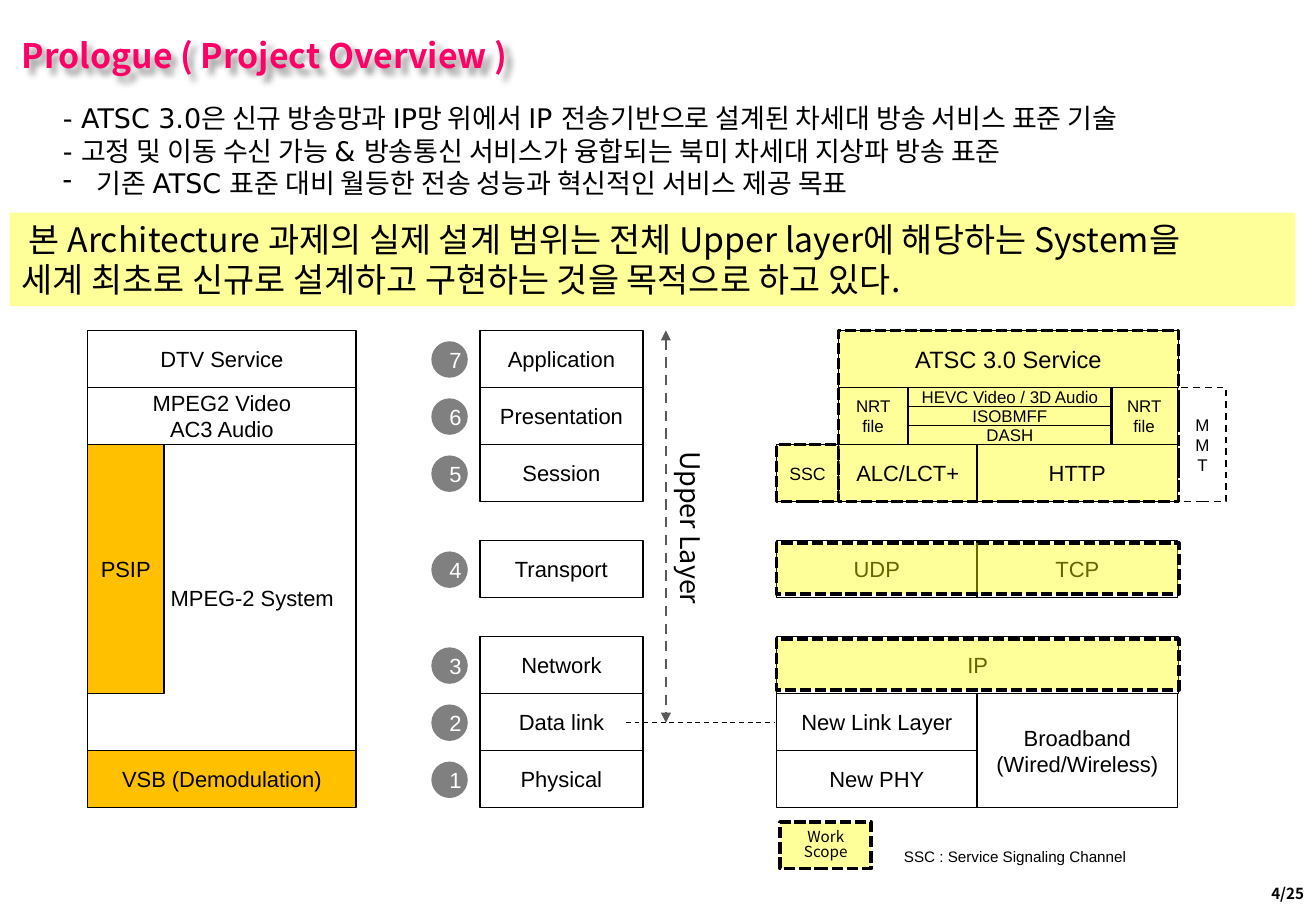
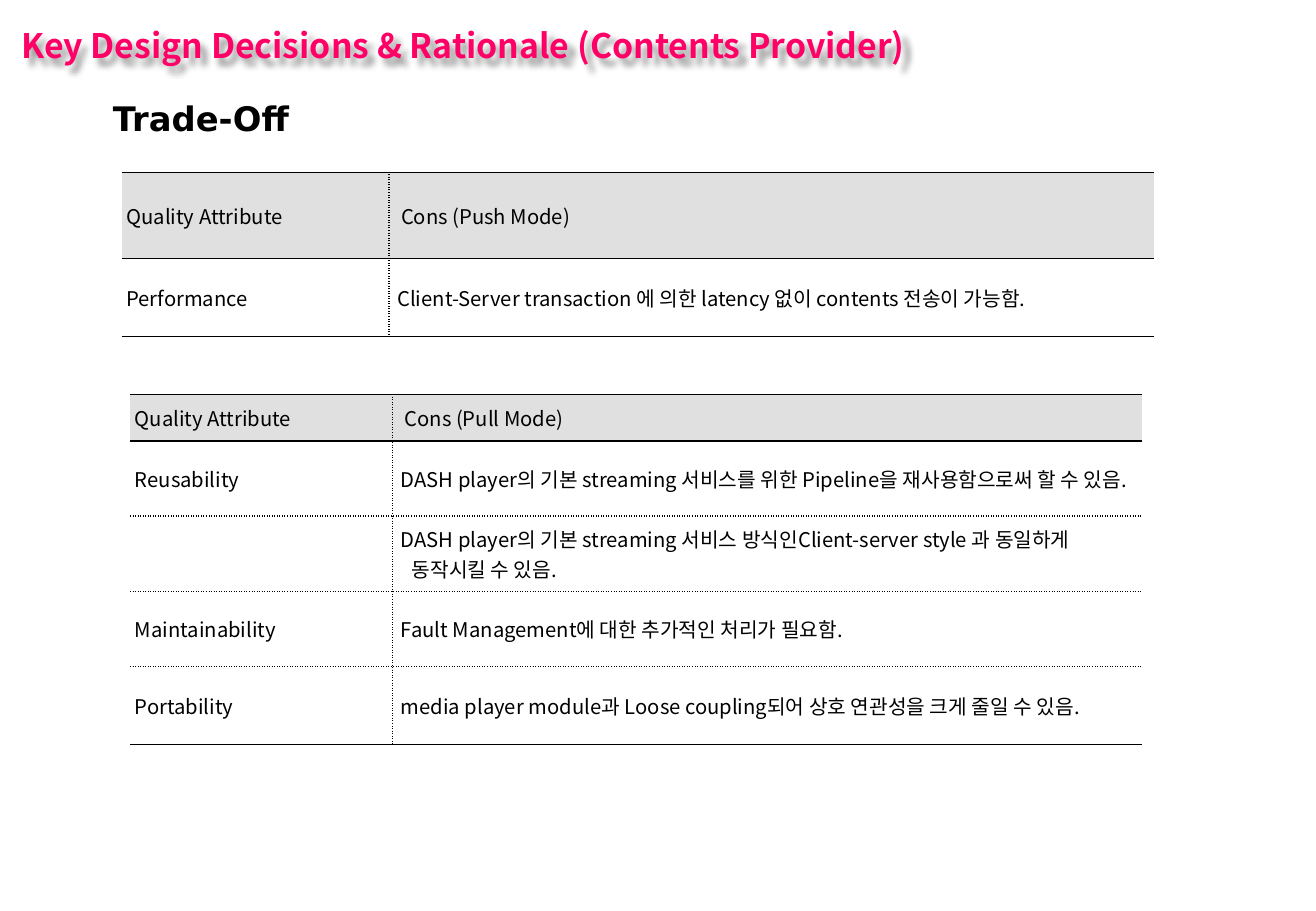
import pptx
import pptx.util
from pptx.dml.color import RGBColor
from pptx.enum.dml import MSO_LINE
from pptx.enum.shapes import MSO_CONNECTOR, MSO_SHAPE
from pptx.enum.text import MSO_ANCHOR, PP_ALIGN
from pptx.oxml import parse_xml
from pptx.oxml.ns import nsdecls, qn
from lxml import etree

Inches = pptx.util.Inches
Pt = pptx.util.Pt

PINK = RGBColor(0xFF, 0x00, 0x66)
BLACK = RGBColor(0, 0, 0)
WHITE = RGBColor(0xFF, 0xFF, 0xFF)
GRAY = RGBColor(0x80, 0x80, 0x80)
DARK = RGBColor(0x59, 0x59, 0x59)
PALE = RGBColor(0xE0, 0xE0, 0xE0)
AMBER = RGBColor(0xFF, 0xC0, 0x00)
YELLOW = RGBColor(0xFF, 0xFF, 0x00)
CREAM = RGBColor(0xFF, 0xFF, 0x99)

SANS = "Noto Sans CJK KR"
DEJA = "DejaVu Sans"
ARIAL = "Arial"
LEFT, MID, RIGHT = PP_ALIGN.LEFT, PP_ALIGN.CENTER, PP_ALIGN.RIGHT

ROW, GAP = 0.47, 0.32


def style(par, size, font, color=BLACK, bold=False, align=LEFT, lead=None):
    par.alignment = align
    if lead:
        par.line_spacing = lead
    par.font.size = Pt(size)
    par.font.bold = bold
    par.font.color.rgb = color
    par.font.name = font
    props = par._p.pPr.find(qn("a:defRPr"))
    etree.SubElement(props, qn("a:ea")).set("typeface", SANS)


def indent(par, left, first):
    props = par._p.get_or_add_pPr()
    props.set("marL", str(Inches(left)))
    props.set("indent", str(Inches(first)))
    return props


def write(shape, text, size, font, pad=(0.1, 0.1), anchor=MSO_ANCHOR.MIDDLE,
          **look):
    frame = shape.text_frame
    frame.word_wrap = True
    frame.vertical_anchor = anchor
    frame.margin_left, frame.margin_right = map(Inches, pad)
    frame.margin_top = frame.margin_bottom = 0
    frame.text = text
    for par in frame.paragraphs:
        style(par, size, font, **look)
    return frame


def label(slide, at, text, size, font, **look):
    box = slide.shapes.add_textbox(*map(Inches, at))
    write(box, text, size, font, **look)
    return box


def block(slide, at, fill=None, line=BLACK, width=1, dash=None,
          kind=MSO_SHAPE.RECTANGLE):
    shape = slide.shapes.add_shape(kind, *map(Inches, at))
    shape.shadow.inherit = False
    if fill is None:
        shape.fill.background()
    else:
        shape.fill.solid()
        shape.fill.fore_color.rgb = fill
    if line is None:
        shape.line.fill.background()
    else:
        shape.line.color.rgb = line
        shape.line.width = Pt(width)
        if dash:
            shape.line.dash_style = dash
    return shape


def cell_box(slide, at, text, size=13, fill=None, pad=(0.05, 0.05), dash=None):
    write(block(slide, at, fill, dash=dash), text, size, ARIAL, pad=pad,
          align=MID)


def scope(slide, at):
    """See-through yellow area with a dashed edge."""
    shape = block(slide, at, YELLOW, width=2.25, dash=MSO_LINE.SQUARE_DOT)
    color = shape.fill._xPr.find(qn("a:solidFill"))[0]
    etree.SubElement(color, qn("a:alpha")).set("val", "40000")
    return shape


def wire(slide, start, end, color, width, heads=False):
    line = slide.shapes.add_connector(
        MSO_CONNECTOR.STRAIGHT, *map(Inches, start + end))
    line.line.color.rgb = color
    line.line.width = Pt(width)
    line.line.dash_style = MSO_LINE.DASH
    if heads:
        for end_tag in ("a:headEnd", "a:tailEnd"):
            etree.SubElement(line.line._ln, qn(end_tag)).set("type", "triangle")
    etree.SubElement(line._element.spPr, qn("a:effectLst"))


def title(slide, top, text):
    box = label(slide, (0.08, top, 10.5, 0.44), text, 20, SANS,
                color=PINK, bold=True)
    box.shadow.inherit = False
    effects = box._element.spPr.find(qn("a:effectLst"))
    effects.append(parse_xml(
        f'<a:outerShdw {nsdecls("a")} blurRad="50800" dist="50800" '
        'dir="2700000" algn="tl"><a:srgbClr val="000000">'
        '<a:alpha val="40000"/></a:srgbClr></a:outerShdw>'))


def level(num):
    """Top of a network layer, 7 being the highest, from the stack's top."""
    return ROW * (7 - num) + GAP * ((num < 5) + (num < 4))


def legacy(slide, x, y, w):
    cell_box(slide, (x, y, w, ROW), "DTV Service")
    cell_box(slide, (x, y + ROW, w, ROW), "MPEG2 Video\nAC3 Audio")
    top = y + 2 * ROW
    cell_box(slide, (x, top, 0.63, 2.05), "PSIP", fill=AMBER)
    cell_box(slide, (x, top, w, 2.52), "MPEG-2 System", pad=(0.5, 0))
    cell_box(slide, (x, y + level(1), w, ROW), "VSB (Demodulation)", fill=AMBER)


def layers(slide, x, y, w):
    names = ("Physical", "Data link", "Network", "Transport", "Session",
             "Presentation", "Application")
    for num, name in enumerate(names, 1):
        top = y + level(num)
        cell_box(slide, (x, top, w, ROW), name)
        dot = block(slide, (x - 0.4, top + 0.09, 0.3, 0.3), GRAY, None,
                    kind=MSO_SHAPE.OVAL)
        write(dot, str(num), 13, ARIAL, pad=(0.1, 0), color=WHITE, align=MID)
    base = y + level(2) + 0.24
    wire(slide, (x + 1.2, base), (x + 2.43, base), BLACK, 0.75)
    wire(slide, (x + 1.53, y), (x + 1.53, base), DARK, 1.5, heads=True)
    side = label(slide, (x + 0.3, y + 1.44, 2.88, 0.37), "Upper Layer", 16,
                 SANS, align=MID)
    side.rotation = 90


def modern(slide, x, y):
    half, wide, inner = 1.65, 3.31, 0.51
    left, mid = x + inner, x + half
    scope(slide, (x, y + level(5), inner, ROW))
    scope(slide, (left, y, 2.8, 3 * ROW))
    parts = (
        (left, 7, 2.8, "ATSC 3.0 Service", 14),
        (left, 6, 0.57, "NRT file", 10),
        (left + 2.24, 6, 0.55, "NRT file", 10),
        (x, 5, inner, "SSC", 10.5),
        (left, 5, 1.14, "ALC/LCT+", 13),
        (mid, 5, half, "HTTP", 13),
        (x, 4, half, "UDP", 13),
        (mid, 4, half, "TCP", 13),
        (x, 3, wide, "IP", 13),
        (x, 2, half, "New Link Layer", 13),
        (x, 1, half, "New PHY", 13),
    )
    for at, num, w, text, size in parts:
        cell_box(slide, (at, y + level(num), w, ROW), text, size)
    for i, text in enumerate(("HEVC Video / 3D Audio", "ISOBMFF", "DASH")):
        h = ROW / 3
        cell_box(slide, (left + 0.57, y + ROW + i * h, 1.68, h), text, 10)
    cell_box(slide, (x + wide, y + ROW, 0.39, 2 * ROW), "MMT", 10,
             pad=(0.1, 0.1), dash=MSO_LINE.DASH)
    cell_box(slide, (mid, y + level(2), half, 2 * ROW),
             "Broadband\n(Wired/Wireless)")
    for num in (4, 3):
        scope(slide, (x, y + level(num) + 0.02, wide, 0.42))
    write(scope(slide, (x + 0.03, y + 4.05, 0.75, 0.38)), "Work Scope", 9,
          SANS, pad=(0.05, 0.05), align=MID, lead=0.82)
    label(slide, (x + 0.95, y + 4.21, 2.28, 0.24),
          "SSC : Service Signaling Channel", 9, ARIAL)


def points(slide, at):
    box = label(
        slide, at,
        "- ATSC 3.0은 신규 방송망과 IP망 위에서 IP 전송기반으로 설계된 차세대 방송 서비스 표준 기술\n"
        "- 고정 및 이동 수신 가능 & 방송통신 서비스가 융합되는 북미 차세대 지상파 방송 표준",
        16, DEJA, lead=Pt(19.5))
    last = box.text_frame.add_paragraph()
    last.text = "기존 ATSC 표준 대비 월등한 전송 성능과 혁신적인 서비스 제공 목표"
    props = indent(last, 0.28, -0.28)
    etree.SubElement(props, qn("a:buChar")).set("char", "-")
    style(last, 16, DEJA, lead=Pt(19.5))


def banner(slide, at):
    frame = write(
        block(slide, at, CREAM, None),
        "본 Architecture 과제의 실제 설계 범위는 전체 Upper layer에 해당하는 System을\n"
        "세계 최초로 신규로 설계하고 구현하는 것을 목적으로 하고 있다.",
        20, SANS, lead=Pt(23.7))
    indent(frame.paragraphs[0], 0, 0.06)


def border(cell, **sides):
    """Edge the cell: each of L, R, T, B is solid, sysDot or None."""
    props = cell._tc.get_or_add_tcPr()
    for side in "LRTB":
        dash = sides.get(side)
        line = etree.SubElement(props, qn("a:ln" + side), w=str(Pt(1)))
        if dash is None:
            etree.SubElement(line, qn("a:noFill"))
            continue
        fill = etree.SubElement(line, qn("a:solidFill"))
        etree.SubElement(fill, qn("a:srgbClr"), val=str(BLACK))
        etree.SubElement(line, qn("a:prstDash"), val=dash)


def grid(slide, x, y, cols, heights, rows):
    table = slide.shapes.add_table(
        len(rows), 2, *map(Inches, (x, y, sum(cols), sum(heights)))).table
    table.first_row = table.horz_banding = False
    for col, w in zip(table.columns, cols):
        col.width = Inches(w)
    last = len(rows) - 1
    for r, texts in enumerate(rows):
        table.rows[r].height = Inches(heights[r])
        for c, text in enumerate(texts):
            cell = table.cell(r, c)
            border(cell, L="sysDot" if c else None, R=None if c else "sysDot",
                   T="solid" if r < 2 else "sysDot",
                   B="solid" if r in (0, last) else "sysDot")
            if r:
                cell.fill.background()
            else:
                cell.fill.solid()
                cell.fill.fore_color.rgb = PALE
            cell.margin_left = cell.margin_right = 0
            cell.margin_top = cell.margin_bottom = Inches(0.02)
            cell.vertical_anchor = MSO_ANCHOR.MIDDLE
            cell.text = text
            par = cell.text_frame.paragraphs[0]
            if c and r:
                indent(par, 0.16, -0.09)
            else:
                indent(par, 0.04, 0.06 * c)
            style(par, 12, SANS)


def overview(slide):
    title(slide, 0.23, "Prologue ( Project Overview )")
    label(slide, (8.3, 7.23, 2.53, 0.25), "4/25", 9, SANS, bold=True,
          align=RIGHT)
    points(slide, (0.42, 0.78, 10, 0.91))
    legacy(slide, 0.72, 2.72, 2.21)
    layers(slide, 3.95, 2.72, 1.34)
    modern(slide, 6.39, 2.72)
    banner(slide, (0.08, 1.75, 10.58, 0.77))


def trade(slide):
    title(slide, 0.15, "Key Design Decisions & Rationale (Contents Provider)")
    label(slide, (0.83, 0.75, 1.71, 0.44), "Trade-Off", 20, DEJA, bold=True)
    grid(slide, 1, 1.42, (2.2, 6.3), (0.71, 0.64), (
        ("Quality Attribute", "Cons (Push Mode)"),
        ("Performance",
         "Client-Server transaction 에 의한 latency 없이 contents 전송이 가능함.")))
    grid(slide, 1.07, 3.25, (2.16, 6.17), (0.38, 0.62, 0.62, 0.62, 0.64), (
        ("Quality Attribute", "Cons (Pull Mode)"),
        ("Reusability",
         "DASH player의 기본 streaming 서비스를 위한 Pipeline을 재사용함으로써 할 수 있음."),
        ("", "DASH player의 기본 streaming 서비스 방식인Client-server style 과 "
             "동일하게 동작시킬 수 있음."),
        ("Maintainability", "Fault Management에 대한 추가적인 처리가 필요함."),
        ("Portability",
         "media player module과 Loose coupling되어 상호 연관성을 크게 줄일 수 있음.")))


def main():
    deck = pptx.Presentation()
    deck.slide_width, deck.slide_height = Inches(10.83), Inches(7.5)
    for fill in (overview, trade):
        fill(deck.slides.add_slide(deck.slide_layouts[6]))
    deck.save("out.pptx")


if __name__ == "__main__":
    main()
